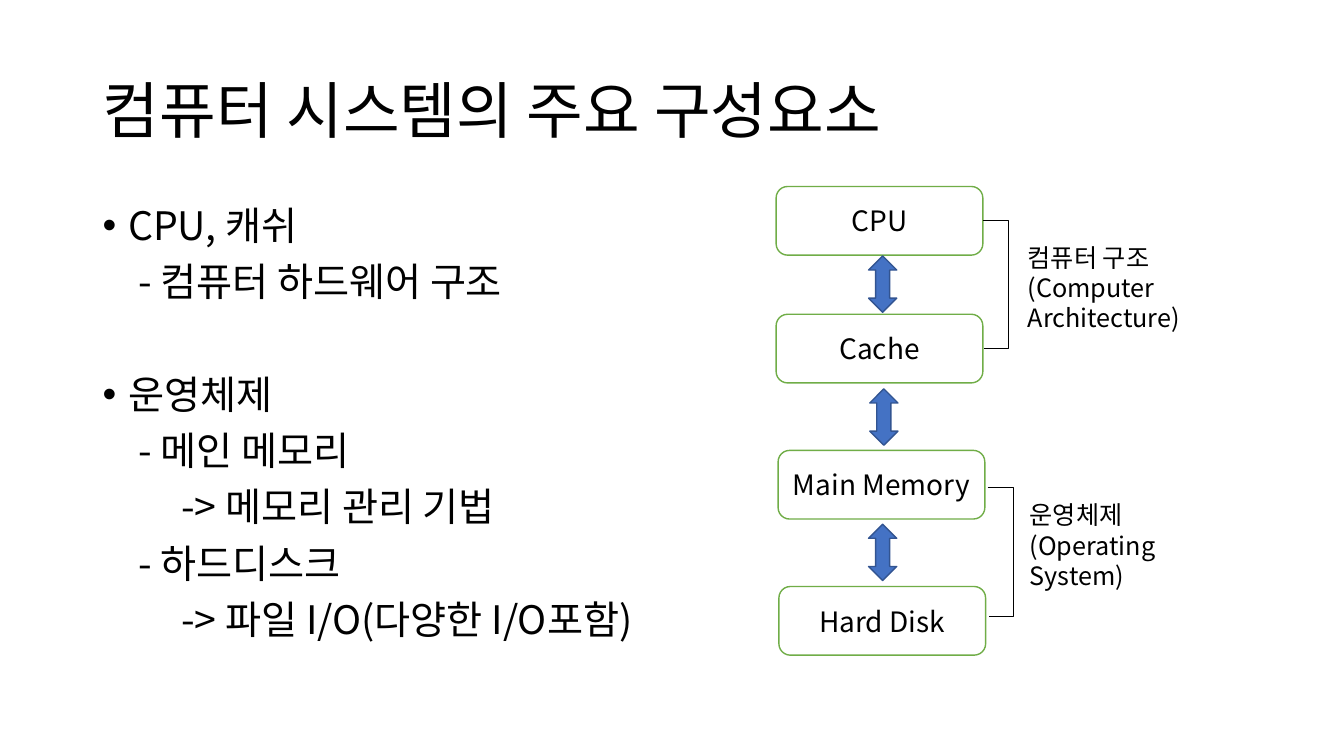
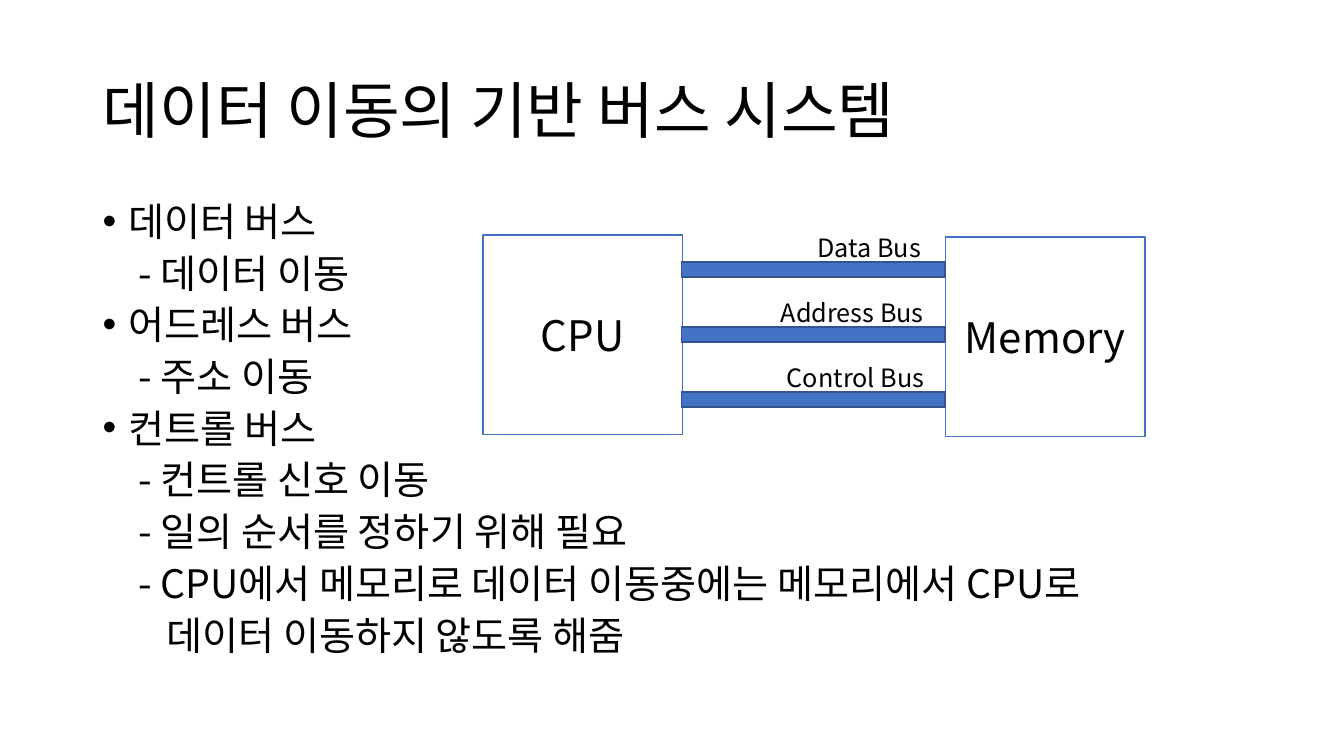
from dataclasses import dataclass
from typing import Optional

from lxml.etree import SubElement
from pptx import Presentation
from pptx.dml.color import RGBColor
from pptx.enum.shapes import MSO_CONNECTOR, MSO_SHAPE
from pptx.enum.text import MSO_ANCHOR, PP_ALIGN
from pptx.oxml.ns import qn
from pptx.util import Cm, Pt

FONT = "Noto Sans CJK KR"
BLACK, WHITE = "000000", "FFFFFF"
GREEN, BLUE, DARK_BLUE = "70AD47", "4472C4", "325491"
BULLET_INDENT, DASH_INDENT, ARROW_INDENT, CONTINUED_INDENT = 0.64, 0.89, 1.98, 1.6


@dataclass(frozen=True)
class Box:
    """A rectangle on the slide, in centimetres."""
    left: float
    top: float
    width: float
    height: float

    def lengths(self) -> tuple:
        """Return the four lengths in the order python-pptx expects."""
        return Cm(self.left), Cm(self.top), Cm(self.width), Cm(self.height)


@dataclass(frozen=True)
class Line:
    """One paragraph of the body text."""
    text: str
    indent: float = DASH_INDENT
    bullet: bool = False
    space_before: float = 10


@dataclass(frozen=True)
class Component:
    """A named part of a diagram."""
    text: str
    left: float
    top: float


@dataclass(frozen=True)
class Bracket:
    """A bracket spanning two components, with its label."""
    left: float
    top: float
    label_left: float
    label_top: float
    label: tuple


def color(value: str) -> RGBColor:
    """Turn a hex string into a colour."""
    return RGBColor.from_string(value)


def write_text(paragraph, text: str, *, size: float, align=PP_ALIGN.LEFT,
               line_spacing: Optional[float] = None, space_before: float = 0,
               indent: float = 0, bullet: bool = False) -> None:
    """Fill a paragraph with text in the shared font."""
    paragraph.alignment = align
    paragraph.space_before = Pt(space_before)
    if line_spacing is not None:
        paragraph.line_spacing = line_spacing
    properties = paragraph._p.get_or_add_pPr()
    properties.set("marL", str(Cm(indent)))
    properties.set("indent", str(-Cm(indent) if bullet else 0))
    if bullet:
        SubElement(properties, qn("a:buFont")).set("typeface", "Arial")
        SubElement(properties, qn("a:buChar")).set("char", "•")
    run = paragraph.add_run()
    run.text = text
    run.font.size = Pt(size)
    run.font.name = FONT
    run.font.color.rgb = color(BLACK)
    SubElement(run._r.get_or_add_rPr(), qn("a:ea")).set("typeface", FONT)


def add_text(slide, box: Box, lines, *, size: float, anchor=MSO_ANCHOR.TOP,
             line_spacing: Optional[float] = None) -> None:
    """Add a wrapping text box with one paragraph per line."""
    frame = slide.shapes.add_textbox(*box.lengths()).text_frame
    frame.word_wrap = True
    frame.vertical_anchor = anchor
    for index, line in enumerate(lines):
        paragraph = frame.add_paragraph() if index else frame.paragraphs[0]
        write_text(paragraph, line.text, size=size, line_spacing=line_spacing,
                   space_before=line.space_before, indent=line.indent,
                   bullet=line.bullet)


def add_label(slide, box: Box, *texts: str) -> None:
    """Add a small diagram label."""
    add_text(slide, box, [Line(text, 0, space_before=0) for text in texts], size=18)


def add_figure(slide, kind, box: Box, *, fill: str, line: str,
               text: str = "", size: float = 20) -> None:
    """Add a filled, outlined shape with optional centred text."""
    shape = slide.shapes.add_shape(kind, *box.lengths())
    shape.shadow.inherit = False
    shape.fill.solid()
    shape.fill.fore_color.rgb = color(fill)
    shape.line.color.rgb = color(line)
    shape.line.width = Pt(1)
    if text:
        shape.text_frame.word_wrap = True
        shape.text_frame.vertical_anchor = MSO_ANCHOR.MIDDLE
        write_text(shape.text_frame.paragraphs[0], text, size=size,
                   align=PP_ALIGN.CENTER)


def add_bracket(slide, bracket: Bracket) -> None:
    """Add an elbow connector that bulges to the right, and its label."""
    width, height, reach = 0.03, 3.23, 0.64
    connector = slide.shapes.add_connector(
        MSO_CONNECTOR.ELBOW, Cm(bracket.left), Cm(bracket.top),
        Cm(bracket.left + width), Cm(bracket.top + height))
    connector.line.color.rgb = color(BLACK)
    connector.line.width = Pt(0.5)
    properties = connector._element.spPr
    SubElement(properties, qn("a:effectLst"))
    geometry = properties.find(qn("a:prstGeom"))
    adjustments = geometry.find(qn("a:avLst"))
    if adjustments is None:
        adjustments = SubElement(geometry, qn("a:avLst"))
    guide = SubElement(adjustments, qn("a:gd"))
    guide.set("name", "adj1")
    guide.set("fmla", f"val {round(reach / width * 100000)}")
    add_label(slide, Box(bracket.label_left, bracket.label_top, 4.8, 2.57),
              *bracket.label)


def add_content_slide(presentation, title: str, lines, line_spacing: float):
    """Add a slide with the shared title and body text."""
    slide = presentation.slides.add_slide(presentation.slide_layouts[6])
    add_text(slide, Box(2.34, 1.02, 29.21, 3.68), [Line(title, 0, space_before=0)],
             size=44, anchor=MSO_ANCHOR.MIDDLE, line_spacing=0.9)
    add_text(slide, Box(2.34, 5.08, 29.21, 12.09), lines, size=28,
             line_spacing=line_spacing)
    return slide


def build_components_slide(presentation) -> None:
    """Build the slide on the main components of a computer."""
    slide = add_content_slide(presentation, "컴퓨터 시스템의 주요 구성요소", [
        Line("CPU, 캐쉬", BULLET_INDENT, True),
        Line("- 컴퓨터 하드웨어 구조"),
        Line("운영체제", BULLET_INDENT, True, space_before=50),
        Line("- 메인 메모리"),
        Line("-> 메모리 관리 기법", ARROW_INDENT),
        Line("- 하드디스크"),
        Line("-> 파일 I/O(다양한 I/O포함)", ARROW_INDENT),
    ], 0.9)
    for component in (Component("CPU", 19.56, 4.7),
                      Component("Cache", 19.56, 7.92),
                      Component("Main Memory", 19.61, 11.35),
                      Component("Hard Disk", 19.63, 14.78)):
        add_figure(slide, MSO_SHAPE.ROUNDED_RECTANGLE,
                   Box(component.left, component.top, 5.21, 1.73),
                   fill=WHITE, line=GREEN, text=component.text)
    for left, top in ((21.89, 6.45), (21.92, 9.8), (21.89, 13.21)):
        add_figure(slide, MSO_SHAPE.UP_DOWN_ARROW, Box(left, top, 0.71, 1.42),
                   fill=BLUE, line=DARK_BLUE)
    for bracket in (
            Bracket(24.77, 5.56, 25.65, 5.97, ("컴퓨터 구조", "(Computer Architecture)")),
            Bracket(24.89, 12.29, 25.7, 12.47, ("운영체제", "(Operating System)"))):
        add_bracket(slide, bracket)


def build_bus_slide(presentation) -> None:
    """Build the slide on the bus system."""
    slide = add_content_slide(presentation, "데이터 이동의 기반 버스 시스템", [
        Line("데이터 버스", BULLET_INDENT, True),
        Line("- 데이터 이동"),
        Line("어드레스 버스", BULLET_INDENT, True),
        Line("- 주소 이동"),
        Line("컨트롤 버스", BULLET_INDENT, True),
        Line("- 컨트롤 신호 이동"),
        Line("- 일의 순서를 정하기 위해 필요"),
        Line("- CPU에서 메모리로 데이터 이동중에는 메모리에서 CPU로"),
        Line("데이터 이동하지 않도록 해줌", CONTINUED_INDENT),
    ], 0.8)
    for component in (Component("CPU", 12.17, 5.92), Component("Memory", 23.83, 5.97)):
        add_figure(slide, MSO_SHAPE.RECTANGLE,
                   Box(component.left, component.top, 5.03, 5.03),
                   fill=WHITE, line=BLUE, text=component.text, size=30)
    buses = (("Data Bus", 20.35), ("Address Bus", 19.43), ("Control Bus", 19.58))
    for index, (name, label_left) in enumerate(buses):
        top = 6.6 + 1.64 * index
        add_figure(slide, MSO_SHAPE.RECTANGLE, Box(17.17, top, 6.65, 0.38),
                   fill=BLUE, line=DARK_BLUE)
        add_label(slide, Box(label_left, top - 0.88, 6.65, 1.02), name)


def main() -> None:
    """Build and save the presentation."""
    presentation = Presentation()
    presentation.slide_width = Cm(33.87)
    presentation.slide_height = Cm(19.05)
    build_components_slide(presentation)
    build_bus_slide(presentation)
    presentation.save("out.pptx")


main()
